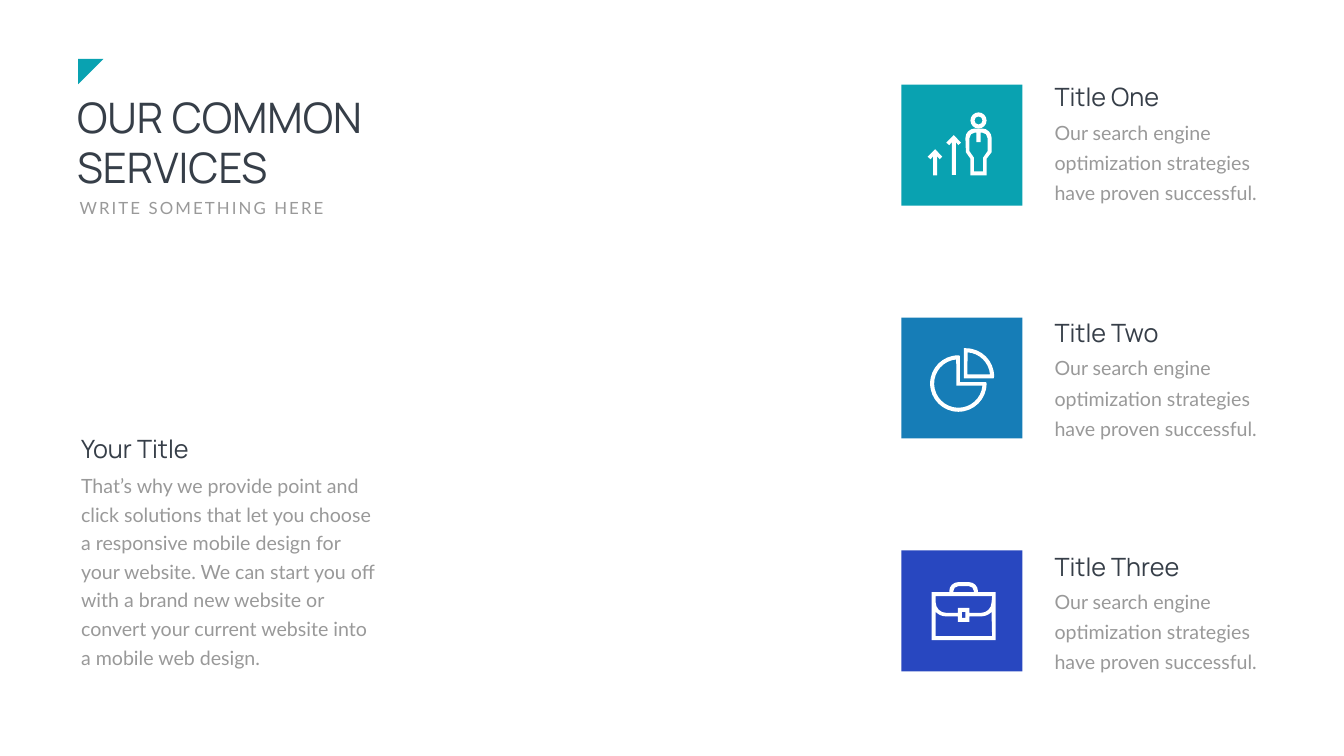
import itertools
import math
from dataclasses import dataclass

import pptx
import pptx.dml.color
import pptx.enum.shapes
import pptx.enum.text
import pptx.oxml
import pptx.oxml.ns
import pptx.util

Inches = pptx.util.Inches
Pt = pptx.util.Pt
SHAPE = pptx.enum.shapes.MSO_SHAPE


@dataclass(frozen=True)
class Theme:
    dark: str = "363E48"
    grey: str = "999999"
    white: str = "FFFFFF"
    teal: str = "09A2B1"
    blue: str = "167DB7"
    indigo: str = "2847C0"
    heading_font: str = "Manrope"
    body_font: str = "Lato"
    title_size: int = 60
    subtitle_size: int = 24
    heading_size: int = 36
    body_size: int = 28


def arc(cx, cy, radius, start, end):
    pieces = math.ceil(abs(end - start) / 90)
    step = math.radians(end - start) / pieces
    pull = 4 / 3 * math.tan(step / 4)

    def point(angle, offset=0):
        return (cx + radius * (math.cos(angle) - offset * math.sin(angle)),
                cy + radius * (math.sin(angle) + offset * math.cos(angle)))

    points = [point(math.radians(start))]
    for i in range(pieces):
        a = math.radians(start) + i * step
        b = a + step
        points += [(*p, "curve") for p in (point(a, pull), point(b, -pull), point(b))]
    return points


def box(left, top, right, bottom):
    return [(left, top), (right, top), (right, bottom), (left, bottom)]


class Deck:
    def __init__(self, theme, slide):
        self.theme = theme
        self.slide = slide
        self.shapes = slide.shapes

    def start_group(self):
        self.shapes = self.slide.shapes.add_group_shape().shapes

    def end_group(self):
        self.shapes = self.slide.shapes

    def paint(self, sp, color):
        sp.shadow.inherit = False
        sp.fill.solid()
        sp.fill.fore_color.rgb = pptx.dml.color.RGBColor.from_string(color)
        sp.line.fill.background()

    def shape(self, kind, left, top, size, color, rotation=0):
        sp = self.shapes.add_shape(kind, Inches(left), Inches(top), Inches(size), Inches(size))
        sp.rotation = rotation
        self.paint(sp, color)

    def outline(self, *contours):
        scaled = [[(Inches(p[0]), Inches(p[1])) for p in contour] for contour in contours]
        builder = self.shapes.build_freeform(*scaled[0][0])
        builder.add_line_segments(scaled[0][1:], close=True)
        for contour in scaled[1:]:
            builder.move_to(*contour[0])
            builder.add_line_segments(contour[1:], close=True)
        sp = builder.convert_to_shape()
        self.bend(sp, [len(p) == 3 for contour in contours for p in contour[1:]])
        self.paint(sp, self.theme.white)

    def bend(self, sp, curved):
        lines = list(sp._element.iter(pptx.oxml.ns.qn("a:lnTo")))
        controls = list(itertools.compress(lines, curved))
        for first, second, last in zip(controls[::3], controls[1::3], controls[2::3]):
            curve = pptx.oxml.parse_xml(f'<a:cubicBezTo {pptx.oxml.ns.nsdecls("a")}/>')
            first.addprevious(curve)
            for line in (first, second, last):
                curve.append(line[0])
                line.getparent().remove(line)

    def text(self, content, left, top, width, height, font, size, color,
             wrap=True, leading=None, tracking=None):
        sp = self.shapes.add_textbox(Inches(left), Inches(top), Inches(width), Inches(height))
        tf = sp.text_frame
        tf.word_wrap = wrap
        tf.auto_size = pptx.enum.text.MSO_AUTO_SIZE.SHAPE_TO_FIT_TEXT
        p = tf.paragraphs[0]
        if leading:
            p.line_spacing = Pt(leading)
        r = p.add_run()
        r.text = content
        r.font.name = font
        r.font.size = Pt(size)
        r.font.color.rgb = pptx.dml.color.RGBColor.from_string(color)
        if tracking:
            r._r.get_or_add_rPr().set("spc", str(tracking * 100))

    def heading(self, content, left, top, width):
        t = self.theme
        self.text(content, left, top, width, 0.71, t.heading_font, t.heading_size, t.dark, wrap=False)

    def body(self, content, left, top, width, height, leading):
        t = self.theme
        self.text(content, left, top, width, height, t.body_font, t.body_size, t.grey, leading=leading)

    def arrow(self, x, top, bottom):
        self.outline([
            (x - 0.15, top + 0.15), (x - 0.09, top + 0.2), (x - 0.04, top + 0.14),
            (x - 0.04, bottom), (x + 0.04, bottom), (x + 0.04, top + 0.14),
            (x + 0.09, top + 0.2), (x + 0.14, top + 0.15), (x, top)])

    def growth_icon(self):
        self.start_group()
        inner = [(19.59, 3), (19.5, 3.13), (19.5, 3.4), (19.32, 3.4), (19.32, 3.13), (19.23, 3)]
        inner += arc(19.34, 2.74, 0.11, 180, 270)
        inner += [(19.37, 2.63), (19.37, 2.82), (19.45, 2.82), (19.45, 2.63)]
        inner += arc(19.48, 2.74, 0.11, 270, 360)
        outer = arc(19.34, 2.74, 0.19, 270, 180)
        outer += [(19.16, 3.02), (19.25, 3.15), (19.25, 3.48), (19.57, 3.48), (19.57, 3.15), (19.67, 3.02)]
        outer += arc(19.48, 2.74, 0.19, 360, 270)
        self.outline(inner, outer)
        self.outline(arc(19.41, 2.39, 0.08, 0, 360), arc(19.41, 2.39, 0.16, 0, 360))
        self.arrow(18.92, 2.68, 3.47)
        self.arrow(18.55, 2.96, 3.48)
        self.end_group()

    def pie_icon(self):
        self.start_group()
        self.outline(arc(19.01, 7.61, 0.48, 5, 265) + [(18.97, 7.65)],
                     arc(19.01, 7.61, 0.56, 0, 270) + [(19.04, 7.06), (19.04, 7.58), (19.56, 7.58)])
        self.outline(arc(19.16, 7.47, 0.48, -5, -86) + [(19.19, 7.43)],
                     arc(19.16, 7.47, 0.56, 0, -90) + [(19.12, 6.91), (19.12, 7.51), (19.71, 7.51)])
        self.end_group()

    def briefcase_icon(self):
        flap = arc(19.46, 11.95, 0.21, 0, 90)
        flap += [(19.23, 12.16), (19.23, 12.06), (19, 12.06), (19, 12.16)]
        flap += arc(18.77, 11.95, 0.21, 90, 180) + [(18.56, 11.83), (19.68, 11.83)]
        pocket = [(19.68, 12.62), (18.56, 12.62)] + arc(18.77, 11.94, 0.29, 136, 90)
        pocket += [(19, 12.23), (19, 12.34), (19.23, 12.34), (19.23, 12.23)]
        pocket += arc(19.46, 11.94, 0.29, 90, 44)
        handle = arc(19.01, 11.73, 0.1, 180, 270) + arc(19.22, 11.73, 0.1, 270, 360)
        handle += [(19.32, 11.75), (18.91, 11.75)]
        case = [(19.4, 11.75)] + arc(19.22, 11.73, 0.18, 360, 270) + arc(19.01, 11.73, 0.18, 270, 180)
        case += [(18.83, 11.75), (18.48, 11.75), (18.48, 12.7), (19.75, 12.7), (19.75, 11.75)]
        self.outline(flap, box(19.08, 12.14, 19.15, 12.26), pocket, handle, case)


def main():
    prs = pptx.Presentation()
    prs.slide_width = Inches(26.66)
    prs.slide_height = Inches(15)
    theme = Theme()
    deck = Deck(theme, prs.slides.add_slide(prs.slide_layouts[6]))

    deck.start_group()
    deck.text("OUR COMMON SERVICES", 1.43, 1.76, 6.63, 2.12,
              theme.heading_font, theme.title_size, theme.dark)
    deck.text("WRITE SOMETHING HERE", 1.48, 3.88, 5.14, 0.5,
              theme.body_font, theme.subtitle_size, theme.grey, wrap=False, tracking=3)
    deck.shape(SHAPE.RIGHT_TRIANGLE, 1.55, 1.17, 0.5, theme.teal, rotation=90)
    deck.end_group()

    deck.start_group()
    deck.body("That’s why we provide point and click solutions that let you choose "
              "a responsive mobile design for your website. We can start you off with "
              "a brand new website or convert your current website into a mobile web design.",
              1.51, 9.26, 6.05, 4.07, 40.8)
    deck.heading("Your Title", 1.51, 8.55, 2.53)
    deck.end_group()

    services = [
        ("Title One", 2.42, 1.57, theme.teal, deck.growth_icon),
        ("Title Two", 2.41, 6.25, theme.blue, deck.pie_icon),
        ("Title Three", 2.81, 10.88, theme.indigo, deck.briefcase_icon),
    ]
    for i, (title, width, top, color, draw_icon) in enumerate(services):
        deck.shape(SHAPE.RECTANGLE, 17.88, 1.68 + 4.62 * i, 2.4, color)
        deck.body("Our search engine optimization strategies have proven successful.",
                  20.82, top + 0.64, 4.29, 1.85, 43)
        deck.heading(title, 20.82, top, width)
        draw_icon()

    prs.save("out.pptx")


if __name__ == "__main__":
    main()
